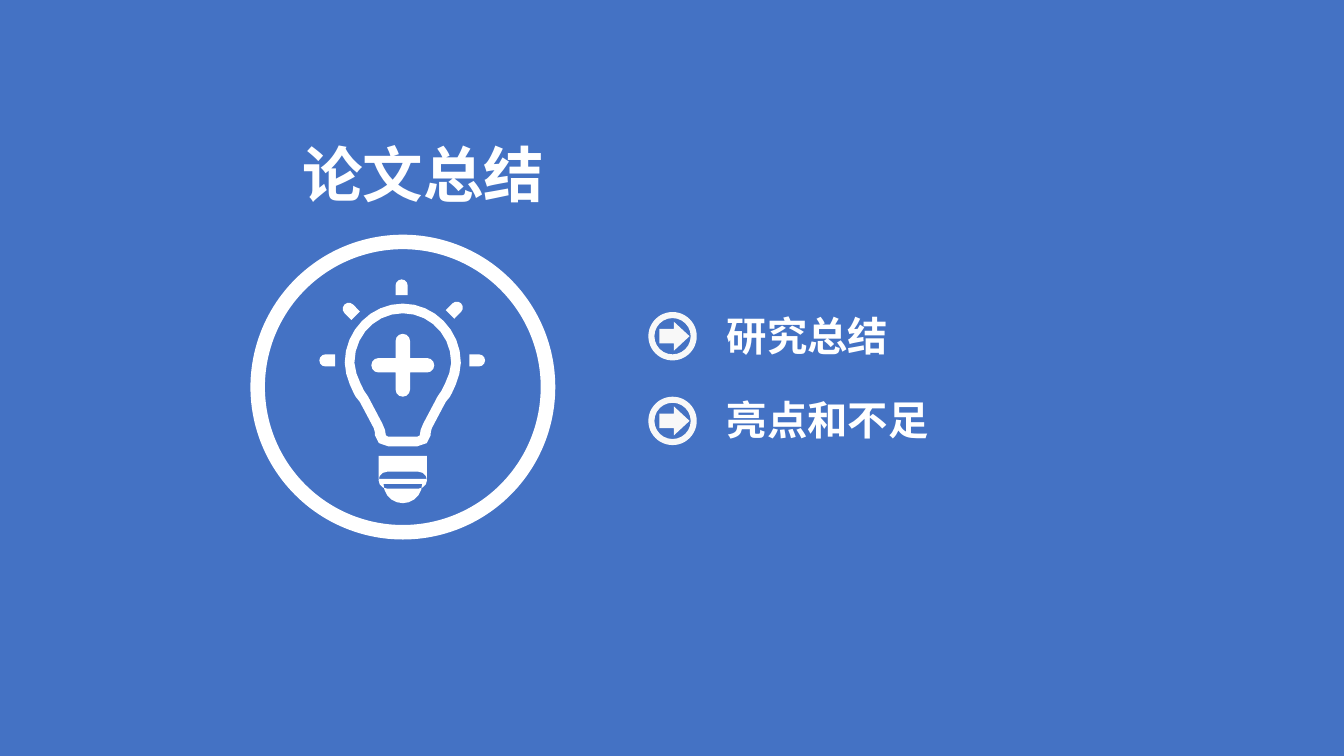
from math import cos, dist, hypot, radians, sin

from lxml import etree
from pptx import Presentation
from pptx.dml.color import RGBColor
from pptx.enum import shapes, text
from pptx.oxml import ns
from pptx.util import Inches, Pt

FONT = "Noto Sans CJK SC"
COLORS = {"blue": "4472C4", "white": "FFFFFF", "pale": "F8F8F8"}
MID = 3.33  # vertical axis of the bulb

# Right half of the bulb, as (distance from axis, y): each row is a
# Bezier curve (three points) or a line (one point) from the last point.
OUTER = [
    [(0, 2.51)],
    [(0.26, 2.51), (0.48, 2.73), (0.48, 3.0)],
    [(0.48, 3.12), (0.4, 3.26), (0.39, 3.28)],
    [(0.37, 3.3), (0.34, 3.34), (0.33, 3.37)],
    [(0.24, 3.54)],
    [(0.23, 3.56), (0.23, 3.59), (0.23, 3.6)],
    [(0.23, 3.65), (0.18, 3.69), (0.12, 3.69)],
]
INNER = [
    [(0, 2.59)],
    [(0.22, 2.59), (0.4, 2.77), (0.4, 3.0)],
    [(0.4, 3.08), (0.34, 3.19), (0.32, 3.23)],
    [(0.3, 3.26), (0.27, 3.3), (0.26, 3.33)],
    [(0.17, 3.5)],
    [(0.15, 3.53), (0.14, 3.58), (0.14, 3.6)],
    [(0.12, 3.61)],
]
# Inner end of each ray and its direction in degrees
RAYS = [(3.88, 2.98, 0), (3.72, 2.6, -45), (3.32, 2.44, -90),
        (2.94, 2.61, -135), (2.77, 2.98, 180)]


def color(name):
    return RGBColor.from_string(COLORS[name])


def paint(shape, name):
    shape.fill.solid()
    shape.fill.fore_color.rgb = color(name)
    shape.line.fill.background()
    shape.shadow.inherit = False


def write(shape, words, size, align=text.PP_ALIGN.LEFT, tint="white"):
    frame = shape.text_frame
    frame.word_wrap = False
    frame.auto_size = text.MSO_AUTO_SIZE.SHAPE_TO_FIT_TEXT
    frame.vertical_anchor = text.MSO_ANCHOR.TOP
    para = frame.paragraphs[0]
    para.alignment = align
    run = para.add_run()
    run.text = words
    font = run.font
    font.size, font.bold, font.name = Pt(size), True, FONT
    font.color.rgb = color(tint)
    east = etree.SubElement(run._r.get_or_add_rPr(), ns.qn("a:ea"))
    east.set("typeface", FONT)


def preset(slide, kind, x, y, w, h, tint, *adjust):
    shape = slide.shapes.add_shape(kind, Inches(x), Inches(y),
                                   Inches(w), Inches(h))
    for i, value in enumerate(adjust):
        shape.adjustments[i] = value
    paint(shape, tint)
    return shape


def ring(slide, x, y, r, thick, tint):
    preset(slide, shapes.MSO_SHAPE.DONUT, x - r, y - r, 2 * r, 2 * r,
           tint, thick / (2 * r))


def arc(x, y, r, start, end, steps=6):
    turns = [radians(start + (end - start) * i / steps)
             for i in range(steps + 1)]
    return [(x + r * cos(a), y + r * sin(a)) for a in turns]


def bend(p0, p1, p2, p3):
    """Points along a cubic Bezier curve, without its start."""
    dots = []
    steps = max(2, round(12 * dist(p0, p3)))
    for i in range(1, steps + 1):
        t = i / steps
        s = 1 - t
        parts = (s ** 3, 3 * s * s * t, 3 * s * t * t, t ** 3)
        dots.append(tuple(sum(k * p[axis] for k, p in zip(parts, (p0, p1, p2, p3)))
                          for axis in (0, 1)))
    return dots


def mirror(rows):
    """Full outline from the rows of its right half."""
    half = []
    for row in rows:
        half += bend(half[-1], *row) if len(row) == 3 else row
    return ([(MID + x, y) for x, y in half]
            + [(MID - x, y) for x, y in reversed(half[1:])])


def ray(x, y, angle, half=0.05, reach=0.08):
    a = radians(angle)
    dx, dy = cos(a), sin(a)
    return ([(x + half * dy, y - half * dx)]
            + arc(x + reach * dx, y + reach * dy, half, angle - 90, angle + 90)
            + [(x - half * dy, y + half * dx)])


def plus(x, y, half=0.06, reach=0.2):
    dots = []
    r = hypot(half, half)
    for angle in range(0, 360, 90):
        a, corner = radians(angle), radians(angle + 45)
        dots += arc(x + reach * cos(a), y + reach * sin(a), half,
                    angle - 90, angle + 90)
        dots.append((x + r * cos(corner), y + r * sin(corner)))
    return dots


def draw(slide, loops, tint):
    """One shape from closed outlines; overlaps become holes."""
    pen = None
    for loop in loops:
        dots = [(Inches(x), Inches(y)) for x, y in loop]
        if pen is None:
            pen = slide.shapes.build_freeform(*dots[0], scale=1.0)
        else:
            pen.move_to(*dots[0])
        pen.add_line_segments(dots[1:], close=True)
    paint(pen.convert_to_shape(), tint)


def bulb(slide):
    ring(slide, MID, 3.2, 1.26, 0.12, "white")
    cap = (arc(MID + 0.13, 3.97, 0.07, -90, 90)
           + arc(MID - 0.13, 3.97, 0.07, 90, 270))
    sleeve = [(MID - 0.2, 3.77), (MID + 0.2, 3.77),
              (MID + 0.2, 3.96), (MID - 0.2, 3.96)]
    bowl = arc(MID, 4.0, 0.16, 0, 180, steps=10)
    draw(slide, [mirror(OUTER), mirror(INNER), plus(MID, 3.02),
                 cap, bowl, sleeve, *(ray(*spot) for spot in RAYS)], "white")


def topic(slide, words, y, width):
    x = 5.56
    ring(slide, x, y, 0.2, 0.05, "pale")
    preset(slide, shapes.MSO_SHAPE.RIGHT_ARROW, x - 0.11, y - 0.12,
           0.25, 0.24, "pale", 0.5, 0.54)
    box = slide.shapes.add_textbox(Inches(5.91), Inches(y - 0.26),
                                   Inches(width), Inches(0.5))
    write(box, words, 24)


def main():
    deck = Presentation()
    deck.slide_width, deck.slide_height = Inches(11.11), Inches(6.25)
    slide = deck.slides.add_slide(deck.slide_layouts.get_by_name("Title Only"))

    title = slide.shapes.title
    title.left, title.top = Inches(2.39), Inches(1.08)
    title.width, title.height = Inches(2.22), Inches(0.71)
    write(title, "论文总结", 36, align=text.PP_ALIGN.CENTER)

    back = preset(slide, shapes.MSO_SHAPE.RECTANGLE, 0, 0, 11.11, 6.25, "blue")
    title.element.addprevious(back.element)

    for i, (words, width) in enumerate([("研究总结", 1.55), ("亮点和不足", 1.88)]):
        topic(slide, words, 2.78 + 0.7 * i, width)
    bulb(slide)
    deck.save("out.pptx")


if __name__ == "__main__":
    main()
